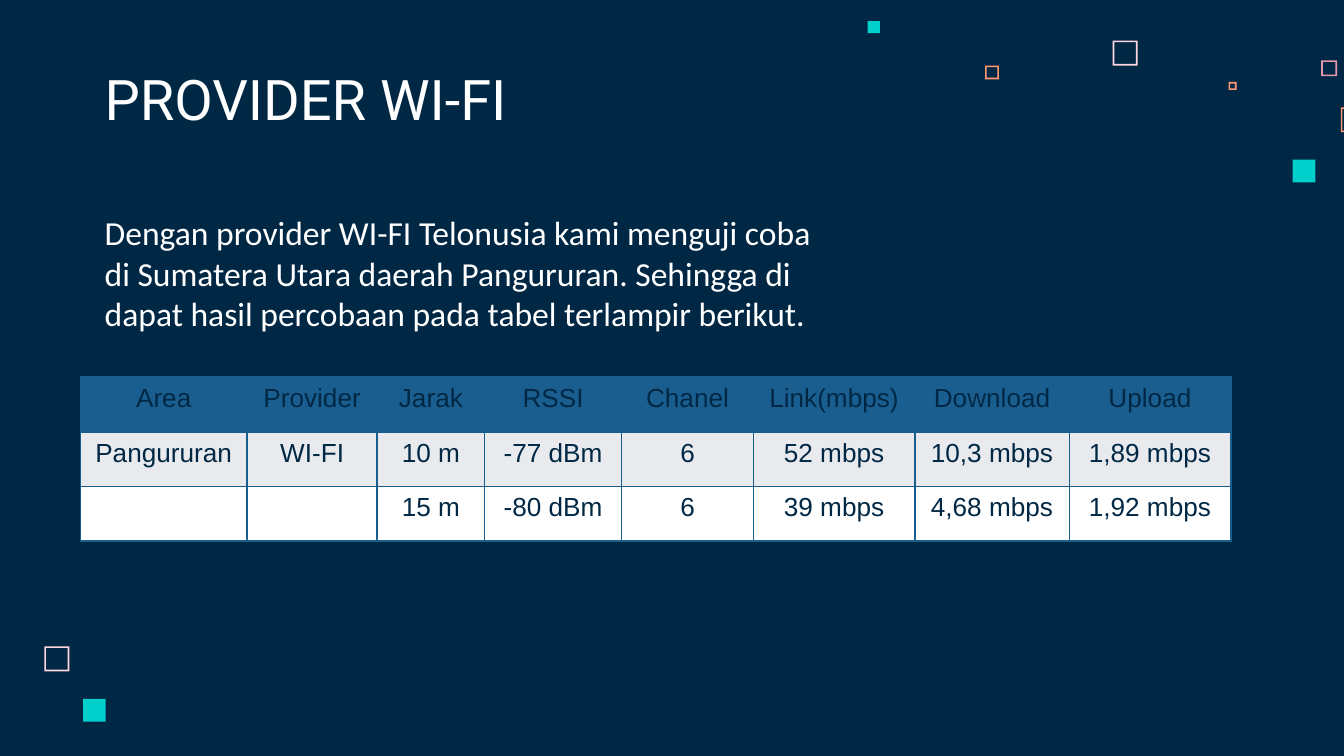
from lxml import etree
from pptx import Presentation
from pptx import util as u
from pptx.dml.color import RGBColor
from pptx.enum import shapes, text
from pptx.oxml import ns

NAVY = RGBColor(0x00, 0x28, 0x45)
BLUE = RGBColor(0x1A, 0x5E, 0x8F)
GRAY = RGBColor(0xE8, 0xEA, 0xEE)
WHITE = RGBColor(0xFF, 0xFF, 0xFF)
PINK = RGBColor(0xFF, 0xD6, 0xE1)
ROSE = RGBColor(0xE8, 0x98, 0xAC)
CORAL = RGBColor(0xFF, 0x99, 0x73)
TEAL = RGBColor(0x00, 0xCF, 0xCC)

EDGE = 0.03
TOP = [
    (4.63, 0.37, 0.47, PINK), (8.57, 0.74, 0.3, ROSE),
    (6.82, 1.15, 0.15, CORAL), (8.94, 1.63, 0.47, CORAL),
    (8.03, 2.62, 0.43, TEAL), (2.22, 0.84, 0.26, CORAL),
    (0, 0, 0.23, TEAL),
]
BASE = [(0, 0, 0.47, PINK), (0.73, 0.99, 0.43, TEAL)]

COLS = [3.15, 2.46, 2.03, 2.59, 2.49, 3.05, 2.92, 3.05]
ROWS = [
    ["Area", "Provider", "Jarak", "RSSI", "Chanel", "Link(mbps)", "Download", "Upload"],
    ["Pangururan", "WI-FI", "10 m", "-77 dBm", "6", "52 mbps", "10,3 mbps", "1,89 mbps"],
    ["", "", "15 m", "-80 dBm", "6", "39 mbps", "4,68 mbps", "1,92 mbps"],
]
FILLS = [BLUE, GRAY, WHITE]
BODY = ("Dengan provider WI-FI Telonusia kami menguji coba di Sumatera Utara "
        "daerah Pangururan. Sehingga di dapat hasil percobaan pada tabel "
        "terlampir berikut.")


def style(item, **values):
    for key, value in values.items():
        setattr(item, key, value)


def font(para, name, size, color):
    style(para.font, name=name, size=u.Pt(size), bold=False)
    para.font.color.rgb = color


def squares(slide, box, marks):
    left, top = box
    for x, y, side, color in marks:
        solid = color == TEAL
        kind = shapes.MSO_SHAPE.RECTANGLE if solid else shapes.MSO_SHAPE.FRAME
        mark = slide.shapes.add_shape(
            kind, u.Cm(left + x), u.Cm(top + y), u.Cm(side), u.Cm(side))
        if not solid:
            mark.adjustments[0] = EDGE / side
        mark.shadow.inherit = False
        mark.fill.solid()
        mark.fill.fore_color.rgb = color
        mark.line.fill.background()


def words(slide, box, copy, name, size, foot=0.25):
    frame = slide.shapes.add_textbox(*map(u.Cm, box)).text_frame
    pad = u.Cm(0.25)
    style(frame, word_wrap=True, vertical_anchor=text.MSO_ANCHOR.BOTTOM,
          margin_left=pad, margin_right=pad, margin_top=pad,
          margin_bottom=u.Cm(foot))
    para = frame.paragraphs[0]
    para.text = copy
    font(para, name, size, WHITE)


def border(cell, color):
    props = cell._tc.get_or_add_tcPr()
    for side in ("lnL", "lnR", "lnT", "lnB"):
        line = etree.SubElement(props, ns.qn("a:" + side), w=str(u.Pt(1)))
        fill = etree.SubElement(line, ns.qn("a:solidFill"))
        etree.SubElement(fill, ns.qn("a:srgbClr"), val=str(color))


def results(slide, box):
    grid = slide.shapes.add_table(len(ROWS), len(COLS), *map(u.Cm, box)).table
    style(grid, first_row=False, horz_banding=False)
    for col, width in zip(grid.columns, COLS):
        col.width = u.Cm(width)
    for r, (row, fill) in enumerate(zip(ROWS, FILLS)):
        for c, value in enumerate(row):
            cell = grid.cell(r, c)
            border(cell, BLUE)
            cell.fill.solid()
            cell.fill.fore_color.rgb = fill
            para = cell.text_frame.paragraphs[0]
            style(para, text=value, alignment=text.PP_ALIGN.CENTER)
            font(para, "Arial", 14, NAVY)


def main():
    deck = Presentation()
    style(deck, slide_width=u.Cm(25.4), slide_height=u.Cm(14.29))
    slide = deck.slides.add_slide(deck.slide_layouts[6])
    slide.background.fill.solid()
    slide.background.fill.fore_color.rgb = NAVY
    squares(slide, (16.4, 0.4), TOP)
    squares(slide, (0.84, 12.22), BASE)
    words(slide, (1.73, 1.14, 13.13, 1.6), "PROVIDER WI-FI", "Roboto", 30)
    words(slide, (1.73, 3.05, 14.02, 4.11), BODY, "Calibri", 18, foot=0.86)
    results(slide, (1.52, 7.13, sum(COLS), 3.1))
    deck.save("out.pptx")


if __name__ == "__main__":
    main()
